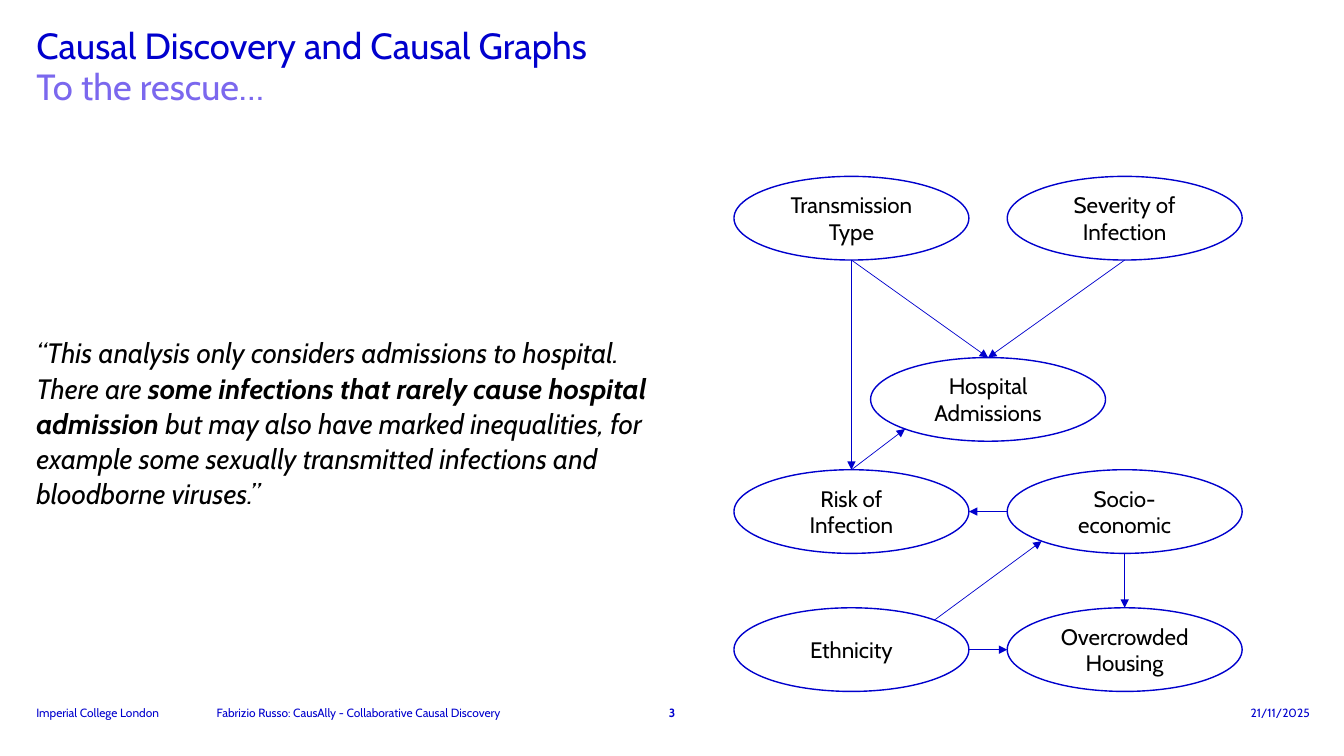
from collections import namedtuple
from math import sqrt

from lxml import etree
from pptx import Presentation
from pptx.dml.color import RGBColor
from pptx.enum.shapes import MSO_CONNECTOR, MSO_SHAPE
from pptx.enum.text import MSO_ANCHOR as Anchor, PP_ALIGN as Align
from pptx.oxml.ns import qn
from pptx.util import Inches, Pt

BLUE = RGBColor(0x00, 0x00, 0xCD)
VIOLET = RGBColor(0x7B, 0x68, 0xEE)
BLACK = RGBColor(0x00, 0x00, 0x00)
FONT = "Cabin"

Box = namedtuple("Box", "x y w h")

MARGIN = 0.36
HEADER = Box(MARGIN, 0.28, 12.62, 0.81)
QUOTE = Box(MARGIN, 1.53, 6.11, 5.32)
GRAPH = Box(7.28, 1.75, 5.04, 5.11)
FOOTER = Box(MARGIN, 6.99, 12.63, 0.15)

NODE_W, NODE_H = 2.33, 0.83
# Label: column (0 to 2) and row (share of the vertical travel)
NODES = {
    "Transmission Type": (0, 0),
    "Severity of Infection": (2, 0),
    "Hospital Admissions": (1, 0.42),
    "Risk of Infection": (0, 0.68),
    "Socio-economic": (2, 0.68),
    "Ethnicity": (0, 1),
    "Overcrowded Housing": (2, 1),
}
# Points on an ellipse, in half widths and half heights from its centre
DIAG = sqrt(0.5)
TOP, BOTTOM, LEFT, RIGHT = (0, -1), (0, 1), (-1, 0), (1, 0)
TOP_RIGHT, BOTTOM_LEFT = (DIAG, -DIAG), (-DIAG, DIAG)
EDGES = [
    ("Transmission Type", BOTTOM, "Hospital Admissions", TOP),
    ("Severity of Infection", BOTTOM, "Hospital Admissions", TOP),
    ("Transmission Type", BOTTOM, "Risk of Infection", TOP),
    ("Risk of Infection", TOP, "Hospital Admissions", BOTTOM_LEFT),
    ("Socio-economic", LEFT, "Risk of Infection", RIGHT),
    ("Socio-economic", BOTTOM, "Overcrowded Housing", TOP),
    ("Ethnicity", TOP_RIGHT, "Socio-economic", BOTTOM_LEFT),
    ("Ethnicity", RIGHT, "Overcrowded Housing", LEFT),
]


def inches(values):
    return [Inches(v) for v in values]


def set_font(font, size, color, bold=None, italic=None):
    font.name, font.size, font.color.rgb = FONT, Pt(size), color
    font.bold, font.italic = bold, italic


def add_text(s, box, runs, size, color, anchor=Anchor.TOP, align=Align.LEFT,
             spacing=None, bold=None, italic=None):
    """Add a one-paragraph box without insets; runs are (text, bold) pairs."""
    tf = s.shapes.add_textbox(*inches(box)).text_frame
    tf.word_wrap, tf.vertical_anchor = True, anchor
    tf.margin_left = tf.margin_right = tf.margin_top = tf.margin_bottom = 0
    p = tf.paragraphs[0]
    p.alignment, p.line_spacing = align, spacing
    set_font(p.font, size, color, bold, italic)
    for text, run_bold in runs:
        r = p.add_run()
        r.text = text
        if run_bold:
            r.font.bold = True


def add_header(s, box):
    lines = [("Causal Discovery and Causal Graphs", BLUE), ("To the rescue…", VIOLET)]
    h = box.h / len(lines)
    for i, (text, color) in enumerate(lines):
        add_text(s, Box(box.x, box.y + i * h, box.w, h), [(text, False)], 26, color,
                 spacing=0.9)


def add_quote(s, box):
    runs = [
        ("“This analysis only considers admissions to hospital. There are ", False),
        ("some infections that rarely cause hospital admission ", True),
        ("but may also have marked inequalities, for example some sexually "
         "transmitted infections and bloodborne viruses.”", False),
    ]
    add_text(s, box, runs, 20, BLACK, anchor=Anchor.MIDDLE, spacing=1.05, italic=True)


def add_footer(s, box):
    parts = [
        ("Imperial College London", 0, 1.55, Align.LEFT, False),
        ("Fabrizio Russo: CausAlly - Collaborative Causal Discovery", 1.79, 3.74,
         Align.LEFT, False),
        ("3", 6.13, 0.35, Align.CENTER, True),
        ("21/11/2025", box.w - 1.35, 1.35, Align.RIGHT, False),
    ]
    for text, x, w, align, bold in parts:
        add_text(s, Box(box.x + x, box.y, w, box.h), [(text, False)], 8.5, BLUE,
                 anchor=Anchor.BOTTOM, align=align, bold=bold)


def add_node(s, box, label):
    sp = s.shapes.add_shape(MSO_SHAPE.OVAL, *inches(box))
    sp.shadow.inherit = False
    sp.fill.background()
    sp.line.color.rgb, sp.line.width = BLUE, Pt(1)
    tf = sp.text_frame
    tf.word_wrap, tf.vertical_anchor = True, Anchor.MIDDLE
    p = tf.paragraphs[0]
    p.text, p.alignment = label, Align.CENTER
    set_font(p.font, 16, BLACK)


def add_arrow(s, start, end):
    c = s.shapes.add_connector(MSO_CONNECTOR.STRAIGHT, *inches(start + end))
    c.line.color.rgb, c.line.width = BLUE, Pt(0.5)
    etree.SubElement(c.line._get_or_add_ln(), qn("a:tailEnd"), type="triangle")
    etree.SubElement(c._element.spPr, qn("a:effectLst"))


def point_on(box, side):
    return (box.x + box.w / 2 * (1 + side[0]), box.y + box.h / 2 * (1 + side[1]))


def add_causal_graph(s, box):
    col_step, travel = (box.w - NODE_W) / 2, box.h - NODE_H
    nodes = {label: Box(box.x + col * col_step, box.y + row * travel, NODE_W, NODE_H)
             for label, (col, row) in NODES.items()}
    for label, node in nodes.items():
        add_node(s, node, label)
    for cause, out_side, effect, in_side in EDGES:
        add_arrow(s, point_on(nodes[cause], out_side), point_on(nodes[effect], in_side))


def main():
    prs = Presentation()
    prs.slide_width, prs.slide_height = Inches(13.33), Inches(7.5)
    s = prs.slides.add_slide(prs.slide_layouts[6])
    add_header(s, HEADER)
    add_quote(s, QUOTE)
    add_causal_graph(s, GRAPH)
    add_footer(s, FOOTER)
    prs.save("out.pptx")


if __name__ == "__main__":
    main()
